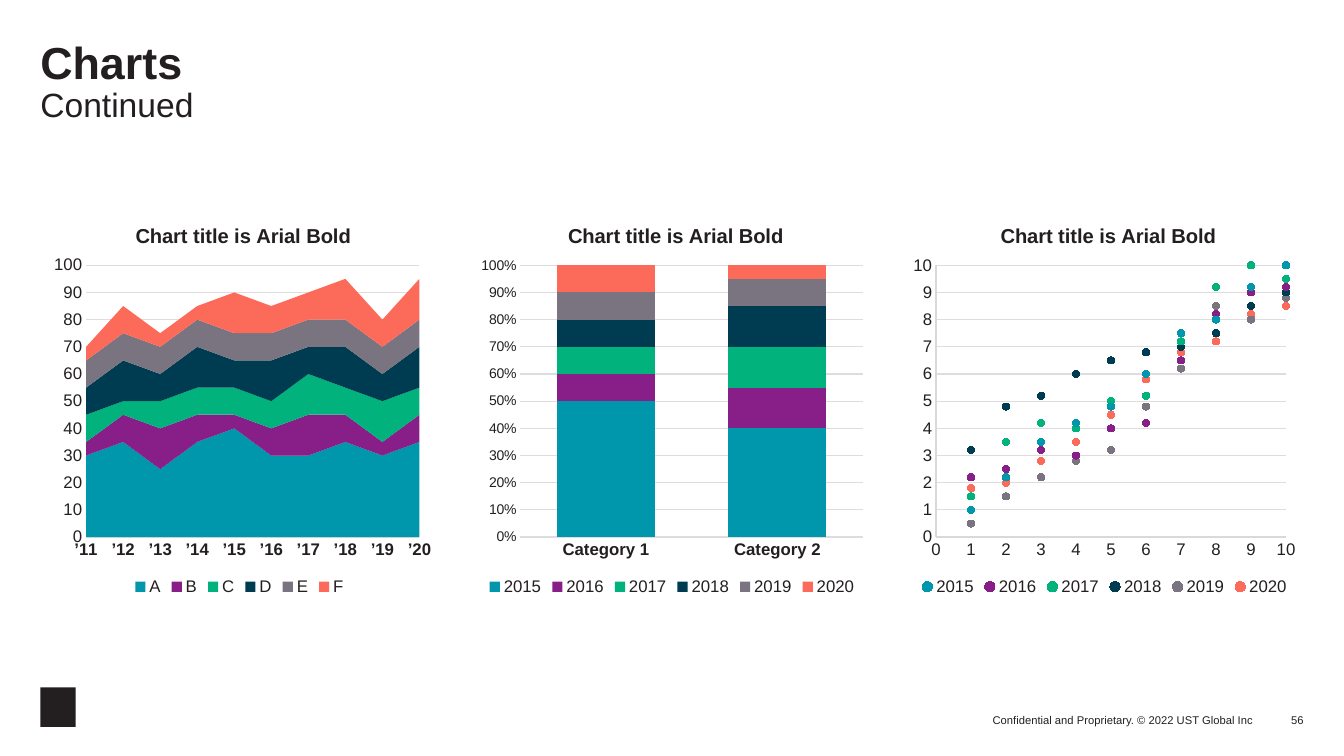
import pptx
import pptx.chart.data
import pptx.dml.color
import pptx.enum.chart
import pptx.enum.shapes
import pptx.enum.text
import pptx.oxml
import pptx.oxml.ns
import pptx.util

Inches = pptx.util.Inches
ChartType = pptx.enum.chart.XL_CHART_TYPE
Align = pptx.enum.text.PP_ALIGN
Anchor = pptx.enum.text.MSO_ANCHOR

THEME = {
    "font": "Arial",
    "ink": "231F20",
    "grid": "E0DCDD",
    "scatter_axis": "D9D9D9",
    "series": ["0097AC", "881E87", "01B27C", "003C51", "7A7480", "FC6A59"],
    "title": 32, "subtitle": 24, "footer": 8,
    "chart_title": 14.4, "label": 12, "small_label": 10,
    "grid_width": 0.75, "axis_width": 1.5, "marker": 5,
}

CHART_TITLE = "Chart title is Arial Bold"
YEARS = ["2015", "2016", "2017", "2018", "2019", "2020"]
# Plot areas are x, y, width, height as fractions of the chart.
CHARTS = [
    {
        "type": ChartType.AREA_STACKED,
        "categories": ["’11", "’12", "’13", "’14", "’15", "’16", "’17", "’18", "’19", "’20"],
        "names": ["A", "B", "C", "D", "E", "F"],
        "values": [
            [30, 35, 25, 35, 40, 30, 30, 35, 30, 35],
            [5, 10, 15, 10, 5, 10, 15, 10, 5, 10],
            [10, 5, 10, 10, 10, 10, 15, 10, 15, 10],
            [10, 15, 10, 15, 10, 15, 10, 15, 10, 15],
            [10, 10, 10, 10, 10, 10, 10, 10, 10, 10],
            [5, 10, 5, 5, 15, 10, 10, 15, 10, 15],
        ],
        "plot": (0.115, 0.16, 0.837, 0.683),
        "scale": (100, 10), "format": "General", "value_size": "label",
        "category_line": None, "value_line": None,
    },
    {
        "type": ChartType.COLUMN_STACKED_100,
        "categories": ["Category 1", "Category 2"],
        "names": YEARS,
        "values": [[50, 40], [10, 15], [10, 15], [10, 15], [10, 10], [10, 5]],
        "plot": (0.119, 0.16, 0.861, 0.683),
        "scale": (1, 0.1), "format": "0%", "value_size": "small_label",
        "category_line": "grid", "value_line": None,
    },
    {
        "type": ChartType.XY_SCATTER,
        "categories": range(1, 11),
        "names": YEARS,
        "values": [
            [1, 2.2, 3.5, 4.2, 4.8, 6, 7.5, 8, 9.2, 10],
            [2.2, 2.5, 3.2, 3, 4, 4.2, 6.5, 8.2, 9, 9.2],
            [1.5, 3.5, 4.2, 4, 5, 5.2, 7.2, 9.2, 10, 9.5],
            [3.2, 4.8, 5.2, 6, 6.5, 6.8, 7, 7.5, 8.5, 9],
            [0.5, 1.5, 2.2, 2.8, 3.2, 4.8, 6.2, 8.5, 8, 8.8],
            [1.8, 2, 2.8, 3.5, 4.5, 5.8, 6.8, 7.2, 8.2, 8.5],
        ],
        "plot": (0.077, 0.16, 0.879, 0.683),
        "scale": (10, 1), "format": "General", "value_size": "label",
        "category_line": "scatter_axis", "value_line": "scatter_axis",
    },
]

MARGIN, CHART_TOP, CHART_SIZE, CHART_STEP = 0.4, 2, 3.95, 4.29


def color(name):
    return pptx.dml.color.RGBColor.from_string(THEME.get(name, name))


def style_font(font, size, bold=False):
    font.name, font.size, font.bold = THEME["font"], pptx.util.Pt(THEME[size]), bold
    font.color.rgb = color("ink")


def add_text(page, spans, area, align=Align.LEFT, anchor=Anchor.TOP, spacing=None):
    """Write (text, size, bold) spans, one per line, in a box without margins."""
    frame = page.shapes.add_textbox(*map(Inches, area)).text_frame
    frame.margin_left = frame.margin_top = frame.margin_right = frame.margin_bottom = 0
    frame.word_wrap, frame.vertical_anchor = True, anchor
    para = frame.paragraphs[0]
    para.alignment, para.line_spacing = align, spacing
    for index, (text, size, bold) in enumerate(spans):
        if index:
            para.add_line_break()
        span = para.add_run()
        span.text = text
        style_font(span.font, size, bold)


def place_part(part, index, x, y, width=None, height=None):
    """Give a chart title or plot area a fixed place inside its chart."""
    for old in part.findall(pptx.oxml.ns.qn("c:layout")):
        part.remove(old)
    inner = '<c:layoutTarget val="inner"/>' if width else ""
    sizes = f'<c:w val="{width}"/><c:h val="{height}"/>' if width else ""
    part.insert(index, pptx.oxml.parse_xml(
        f'<c:layout {pptx.oxml.ns.nsdecls("c")}><c:manualLayout>{inner}'
        '<c:xMode val="edge"/><c:yMode val="edge"/>'
        f'<c:x val="{x}"/><c:y val="{y}"/>{sizes}</c:manualLayout></c:layout>'))


def style_line(line, name, width):
    if name is None:
        line.fill.background()
    else:
        line.color.rgb, line.width = color(name), pptx.util.Pt(THEME[width])


def style_axis(axis, size, line, bold=False):
    style_font(axis.tick_labels.font, size, bold)
    style_line(axis.format.line, line, "axis_width")
    axis.major_tick_mark = axis.minor_tick_mark = pptx.enum.chart.XL_TICK_MARK.NONE
    axis.has_major_gridlines = False


def set_scale(axis, top, step):
    axis.minimum_scale, axis.maximum_scale, axis.major_unit = 0, top, step


def chart_data(content, scatter):
    if not scatter:
        data = pptx.chart.data.CategoryChartData()
        data.categories = content["categories"]
        for name, values in zip(content["names"], content["values"]):
            data.add_series(name, values)
        return data
    data = pptx.chart.data.XyChartData()
    for name, values in zip(content["names"], content["values"]):
        series = data.add_series(name)
        for x, y in zip(content["categories"], values):
            series.add_data_point(x, y)
    return data


def add_chart(page, content, left):
    scatter = content["type"] == ChartType.XY_SCATTER
    chart = page.shapes.add_chart(
        content["type"], *map(Inches, (left, CHART_TOP, CHART_SIZE, CHART_SIZE)),
        chart_data(content, scatter)).chart
    style_font(chart.font, "label")

    chart.has_title = True
    para = chart.chart_title.text_frame.paragraphs[0]
    span = para.add_run()
    span.text = CHART_TITLE
    style_font(span.font, "chart_title", True)
    chart.chart_title.include_in_layout = False
    place_part(chart.element.xpath("c:chart/c:title")[0], 1, 0.23, 0.045)
    place_part(chart.element.xpath("c:chart/c:plotArea")[0], 0, *content["plot"])

    chart.has_legend = True
    chart.legend.position = pptx.enum.chart.XL_LEGEND_POSITION.BOTTOM
    chart.legend.include_in_layout = False
    style_font(chart.legend.font, "label")

    style_axis(chart.category_axis, "label", content["category_line"], not scatter)
    axis = chart.value_axis
    style_axis(axis, content["value_size"], content["value_line"])
    axis.has_major_gridlines = True
    style_line(axis.major_gridlines.format.line, "grid", "grid_width")
    axis.tick_labels.number_format = content["format"]
    axis.tick_labels.number_format_is_linked = False
    set_scale(axis, *content["scale"])
    if scatter:
        set_scale(chart.category_axis, *content["scale"])

    plot = chart.plots[0]
    plot.vary_by_categories = False
    if content["type"] == ChartType.COLUMN_STACKED_100:
        plot.gap_width, plot.overlap = 75, 100
    for series, shade in zip(plot.series, THEME["series"]):
        target = series
        if scatter:
            target = series.marker
            target.style = pptx.enum.chart.XL_MARKER_STYLE.CIRCLE
            target.size = THEME["marker"]
            series.format.line.fill.background()
        target.format.fill.solid()
        target.format.fill.fore_color.rgb = color(shade)
        target.format.line.fill.background()


def main():
    deck = pptx.Presentation()
    deck.slide_width, deck.slide_height = Inches(13.33), Inches(7.5)
    page = deck.slides.add_slide(deck.slide_layouts[6])

    emblem = page.shapes.add_shape(
        pptx.enum.shapes.MSO_SHAPE.RECTANGLE, *map(Inches, (MARGIN, 6.82, 0.35, 0.39)))
    emblem.shadow.inherit = False
    emblem.fill.solid()
    emblem.fill.fore_color.rgb = color("ink")
    emblem.line.fill.background()

    add_text(page, [("Confidential and Proprietary. © 2022 UST Global Inc", "footer", False)],
             (8.99, 7.01, 3.44, 0.2), Align.RIGHT, Anchor.BOTTOM)
    add_text(page, [("56", "footer", False)], (12.43, 6.91, 0.5, 0.3), Align.RIGHT, Anchor.BOTTOM)
    add_text(page, [("Charts", "title", True), ("Continued", "subtitle", False)],
             (MARGIN, 0.4, 12.53, 1), spacing=0.9)
    for index, content in enumerate(CHARTS):
        add_chart(page, content, MARGIN + index * CHART_STEP)
    deck.save("out.pptx")


if __name__ == "__main__":
    main()
